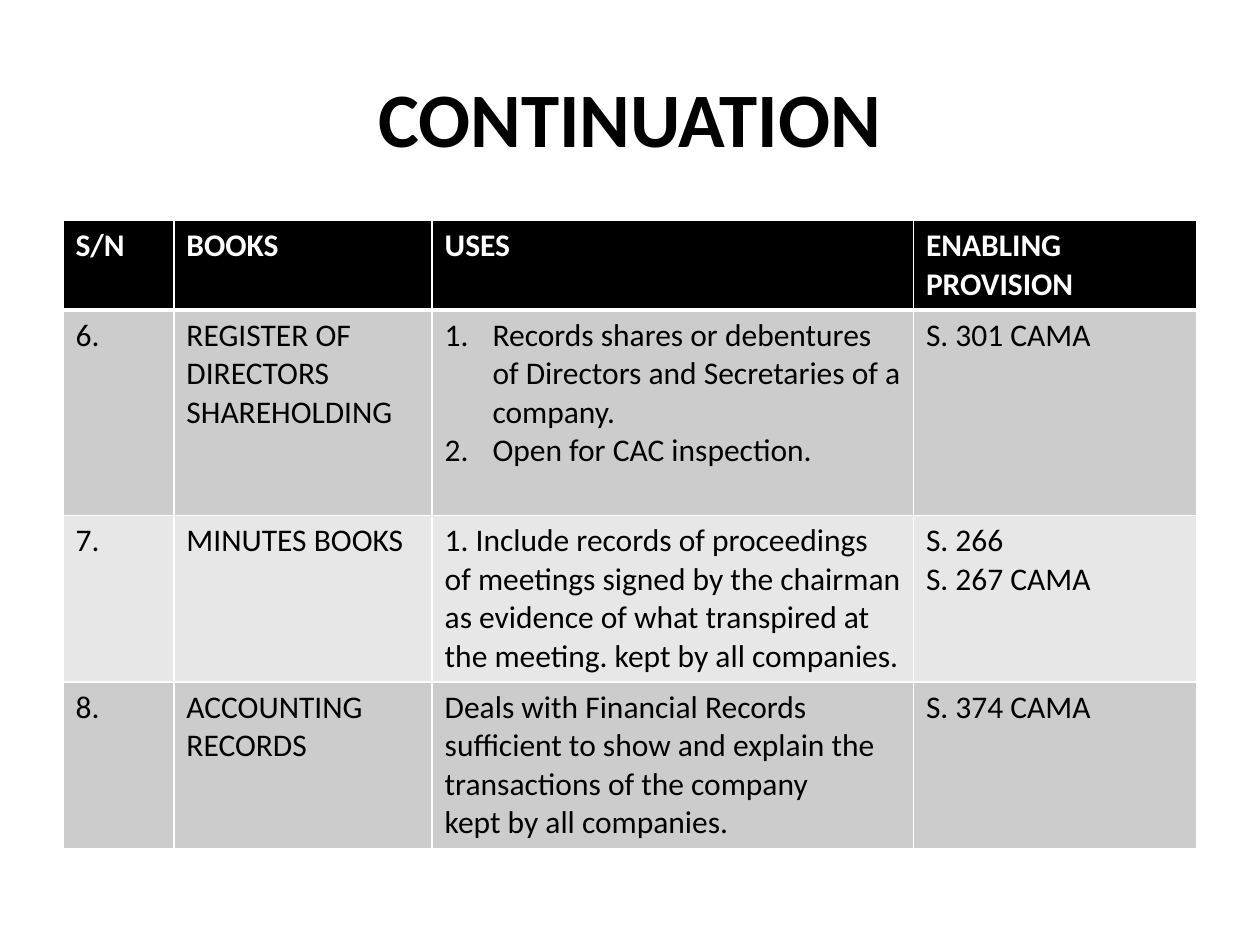
from lxml import etree
from pptx import Presentation
from pptx import util as u
from pptx.dml.color import RGBColor
from pptx.enum import text
from pptx.oxml import ns

FONT = "Calibri"
COLS = [0.88, 2.05, 3.82, 2.25]
ROW_HEIGHTS = [0.7, 1.63, 1.32, 1.32]
FILLS = ["000000", "CCCCCC", "E7E7E7", "CCCCCC"]

# Each cell is a list of paragraphs; a tuple is a numbered list
ROWS = [
    [["S/N"], ["BOOKS"], ["USES"], ["ENABLING PROVISION"]],
    [["6."], ["REGISTER OF DIRECTORS SHAREHOLDING"],
     ("Records shares or debentures of Directors and Secretaries of a company.",
      "Open for CAC inspection."),
     ["S. 301 CAMA"]],
    [["7."], ["MINUTES BOOKS"],
     ["1. Include records of proceedings of meetings signed by the chairman "
      "as evidence of what transpired at the meeting. kept by all companies."],
     ["S. 266", "S. 267 CAMA"]],
    [["8."], ["ACCOUNTING RECORDS"],
     ["Deals with Financial Records sufficient to show and explain the "
      "transactions of the company", "kept by all companies."],
     ["S. 374 CAMA"]],
]


def rgb(value):
    return RGBColor.from_string(value)


def format_run(r, color, **values):
    for name, value in {"name": FONT, **values}.items():
        setattr(r.font, name, value)
    r.font.color.rgb = rgb(color)


def number_paragraph(p):
    pPr = p._p.get_or_add_pPr()
    indent = u.Inches(0.38)
    pPr.set("marL", str(indent))
    pPr.set("indent", str(-indent))
    etree.SubElement(pPr, ns.qn("a:buFont"), typeface="+mj-lt")
    etree.SubElement(pPr, ns.qn("a:buAutoNum"), type="arabicPeriod")


def set_borders(cell, color, widths):
    tcPr = cell._tc.get_or_add_tcPr()
    for i, (side, width) in enumerate(widths.items()):
        ln = etree.Element(ns.qn("a:ln" + side), w=str(u.Pt(width)))
        fill = etree.SubElement(ln, ns.qn("a:solidFill"))
        etree.SubElement(fill, ns.qn("a:srgbClr"), val=color)
        tcPr.insert(i, ln)  # borders come before the cell fill


def fill_cell(cell, paragraphs, fill, color, bold):
    cell.fill.solid()
    cell.fill.fore_color.rgb = rgb(fill)
    tf = cell.text_frame
    for i, line in enumerate(paragraphs):
        p = tf.add_paragraph() if i else tf.paragraphs[0]
        if isinstance(paragraphs, tuple):
            number_paragraph(p)
        r = p.add_run()
        r.text = line
        format_run(r, color, size=u.Pt(18), bold=bold)


def add_title(s, title):
    sp = s.shapes.title
    sp.left, sp.top, sp.width, sp.height = map(u.Inches, (0.5, 0.3, 9, 1.25))
    tf = sp.text_frame
    tf.vertical_anchor = text.MSO_ANCHOR.MIDDLE
    p = tf.paragraphs[0]
    p.alignment = text.PP_ALIGN.CENTER
    r = p.add_run()
    r.text = title
    format_run(r, "000000", size=u.Pt(44), bold=True)


def add_books_table(s):
    table = s.shapes.add_table(
        len(ROWS), len(COLS), u.Inches(0.5), u.Inches(1.75),
        u.Inches(sum(COLS)), u.Inches(sum(ROW_HEIGHTS))).table
    for column, width in zip(table.columns, COLS):
        column.width = u.Inches(width)
    for i, (row, height) in enumerate(zip(table.rows, ROW_HEIGHTS)):
        row.height = u.Inches(height)
        header = i == 0
        # The rule under the header is thicker
        widths = {"L": 1, "R": 1, "T": 3 if i == 1 else 1, "B": 3 if header else 1}
        for cell, paragraphs in zip(row.cells, ROWS[i]):
            fill_cell(cell, paragraphs, FILLS[i],
                      "FFFFFF" if header else "000000", header)
            set_borders(cell, "FFFFFF", widths)


def main():
    prs = Presentation()
    prs.slide_width, prs.slide_height = u.Inches(10), u.Inches(7.5)
    s = prs.slides.add_slide(prs.slide_layouts[5])
    add_title(s, "CONTINUATION")
    add_books_table(s)
    prs.save("out.pptx")


main()
